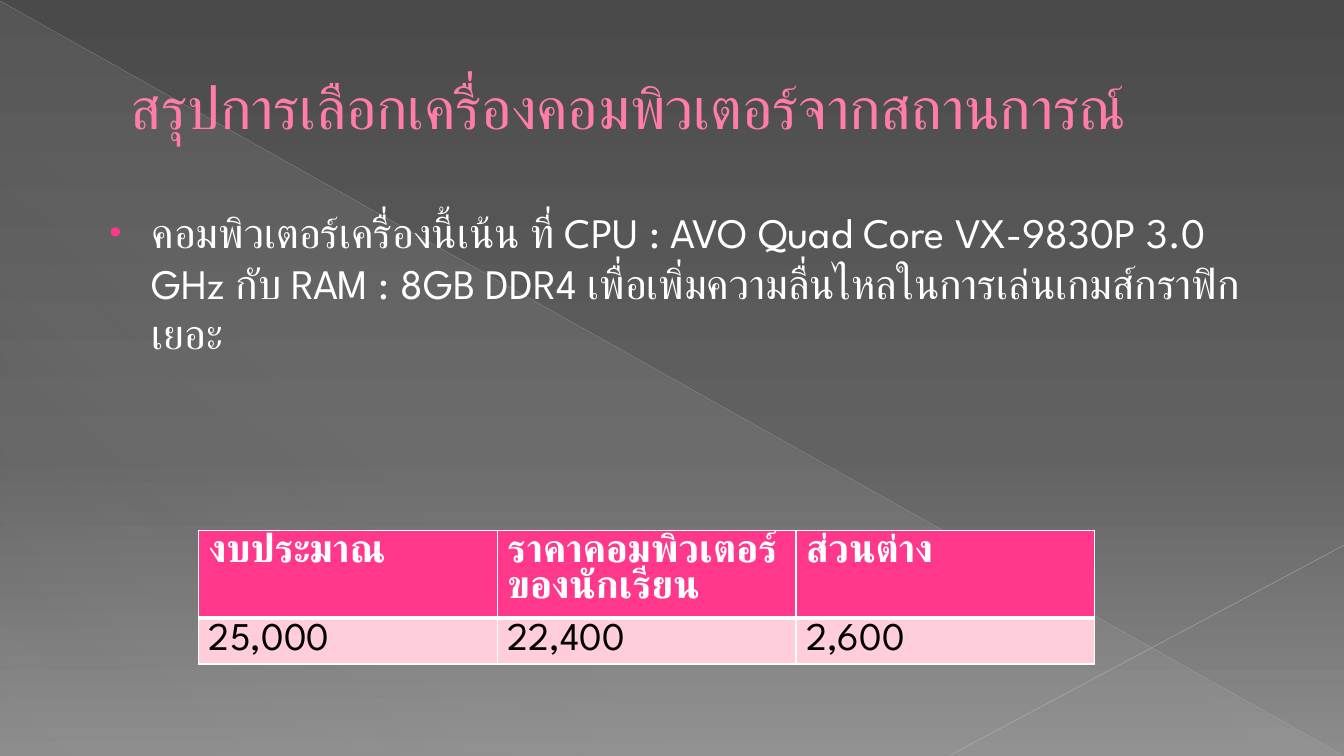
from lxml.etree import SubElement
from pptx import Presentation
from pptx.dml.color import RGBColor
from pptx.enum.shapes import MSO_CONNECTOR as Line, MSO_SHAPE as Shape
from pptx.enum.text import MSO_ANCHOR as Anchor, PP_ALIGN as Align
from pptx.oxml.ns import qn
from pptx.util import Pt

TITLE = "สรุปการเลือกเครื่องคอมพิวเตอร์จากสถานการณ์"
BODY = (
    "คอมพิวเตอร์เครื่องนี้เน้น ที่ CPU :\u00a0AVO Quad Core VX-9830P 3.0 GHz "
    "กับ RAM :\u00a08GB DDR4 เพื่อเพิ่มความลื่นไหลในการเล่นเกมส์กราฟิกเยอะ"
)
BUDGET = [
    ("งบประมาณ", "ราคาคอมพิวเตอร์ของนักเรียน", "ส่วนต่าง"),
    ("25,000", "22,400", "2,600"),
]
FONT = "League Spartan"
COLORS = {
    "white": "FFFFFF", "black": "000000", "title": "FF7DA7",
    "accent": "FF388C", "pale": "FFCEDA", "sheen": "D2D2D2",
}
BACKDROP = [(0, "4A4A4A", 100), (60, "626262", 100), (100, "8C8C8C", 100)]
SHEEN = [(0, COLORS["sheen"], 10), (70, COLORS["sheen"], 8), (100, COLORS["sheen"], 1)]
RAYS = [
    ((0, 0.7), (959, 539.3), "BFBFBF", 0.39, 35),
    ((960, 389.5), (679, 539.3), "C6C6C6", 0.47, 45),
]
TABLE_LEFT, TABLE_TOP, COL_WIDTH = 142, 378.7, 213.3
ROW_HEIGHTS = [62.6, 33]


def add(parent, tag, **attrs):
    return SubElement(parent, qn(tag), {k: str(v) for k, v in attrs.items()})


def add_color(parent, color, opacity=100):
    clr = add(parent, "a:srgbClr", val=color)
    if opacity < 100:
        add(clr, "a:alpha", val=opacity * 1000)


def set_gradient(fill, element, stops, angle):
    fill.gradient()
    fill.gradient_angle = angle
    gs_list = next(element.iter(qn("a:gsLst")))
    for gs in list(gs_list):
        gs_list.remove(gs)
    for pos, color, opacity in stops:
        add_color(add(gs_list, "a:gs", pos=pos * 1000), color, opacity)


def set_font(p, size, color, bold=False):
    p.font.name, p.font.size, p.font.bold = FONT, Pt(size), bold
    p.font.color.rgb = RGBColor.from_string(COLORS[color])
    for r in p.runs:
        add(r._r.get_or_add_rPr(), "a:cs", typeface=FONT)


def place(sp, left, top, width, height):
    sp.left, sp.top, sp.width, sp.height = Pt(left), Pt(top), Pt(width), Pt(height)


def add_backdrop(s):
    set_gradient(s.background.fill, s._element, BACKDROP, 270)
    sheen = s.shapes.add_shape(Shape.RIGHT_TRIANGLE, Pt(0.7), Pt(1.4), Pt(958.6), Pt(538.6))
    sheen.shadow.inherit = False
    sheen.line.fill.background()
    set_gradient(sheen.fill, sheen._element, SHEEN, 227)
    decor = [sheen]
    for start, end, color, width, opacity in RAYS:
        ray = s.shapes.add_connector(Line.STRAIGHT, *map(Pt, start + end))
        ray.line.width = Pt(width)
        ray.line.color.rgb = RGBColor.from_string(color)
        add(next(ray._element.iter(qn("a:srgbClr"))), "a:alpha", val=opacity * 1000)
        add(ray._element.spPr, "a:effectLst")
        decor.append(ray)
    for i, sp in enumerate(decor):
        s.shapes._spTree.insert(2 + i, sp._element)


def add_title(s):
    sp = s.shapes.title
    place(sp, 48, 21, 864, 110)
    tf = sp.text_frame
    tf.text, tf.vertical_anchor = TITLE, Anchor.MIDDLE
    p = tf.paragraphs[0]
    p.alignment = Align.LEFT
    p._p.get_or_add_pPr().set("marL", str(Pt(38)))
    set_font(p, 42, "title")


def add_body(s):
    sp = s.placeholders[1]
    place(sp, 66, 144, 828, 116.6)
    sp.text_frame.text = BODY
    p = sp.text_frame.paragraphs[0]
    p.space_before = Pt(6)
    pPr = p._p.get_or_add_pPr()
    pPr.set("marL", str(Pt(35.3)))
    pPr.set("indent", str(Pt(-30.2)))
    add_color(add(pPr, "a:buClr"), COLORS["accent"])
    add(pPr, "a:buSzPct", val=80000)
    add(pPr, "a:buFont", typeface="Arial")
    add(pPr, "a:buChar", char="•")
    set_font(p, 30, "white")


def set_borders(cell, widths):
    tcPr = cell._tc.get_or_add_tcPr()
    for i, (side, width) in enumerate(widths.items()):
        ln = add(tcPr, f"a:ln{side}", w=Pt(width))
        add_color(add(ln, "a:solidFill"), COLORS["white"])
        tcPr.insert(i, ln)


def add_budget(s):
    rows, cols = len(BUDGET), len(BUDGET[0])
    table = s.shapes.add_table(
        rows, cols, Pt(TABLE_LEFT), Pt(TABLE_TOP),
        Pt(COL_WIDTH * cols), Pt(sum(ROW_HEIGHTS)),
    ).table
    for col in table.columns:
        col.width = Pt(COL_WIDTH)
    for r, values in enumerate(BUDGET):
        head = r == 0
        table.rows[r].height = Pt(ROW_HEIGHTS[r])
        for c, value in enumerate(values):
            cell = table.cell(r, c)
            cell.text = value
            cell.fill.solid()
            cell.fill.fore_color.rgb = RGBColor.from_string(COLORS["accent" if head else "pale"])
            set_font(cell.text_frame.paragraphs[0], 28, "white" if head else "black", head)
            set_borders(cell, {"L": 1, "R": 1, "T": 1 if head else 3, "B": 3 if head else 1})


def main():
    prs = Presentation()
    prs.slide_width, prs.slide_height = Pt(960), Pt(540)
    s = prs.slides.add_slide(prs.slide_layouts[1])
    add_backdrop(s)
    add_title(s)
    add_body(s)
    add_budget(s)
    prs.save("out.pptx")


if __name__ == "__main__":
    main()
